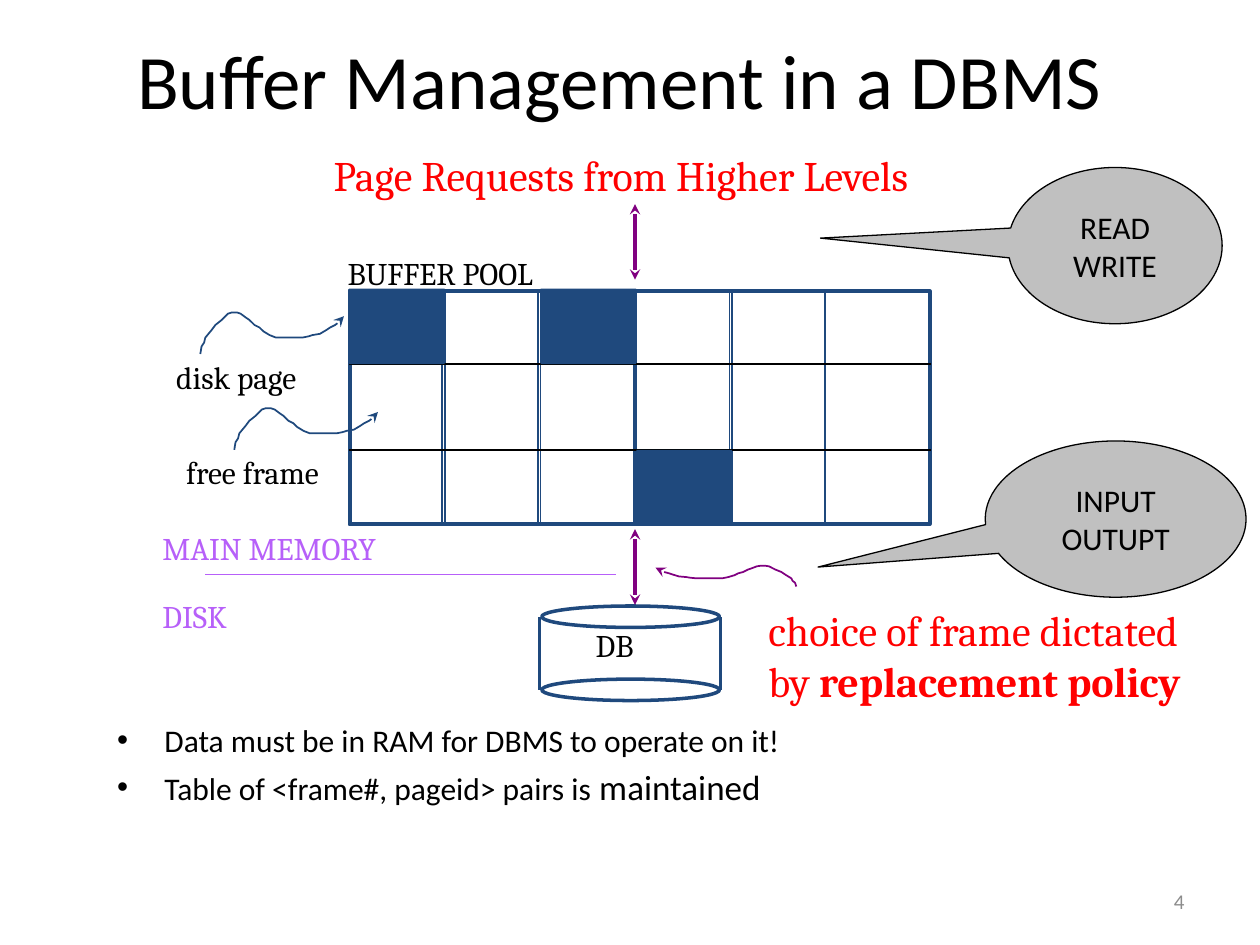
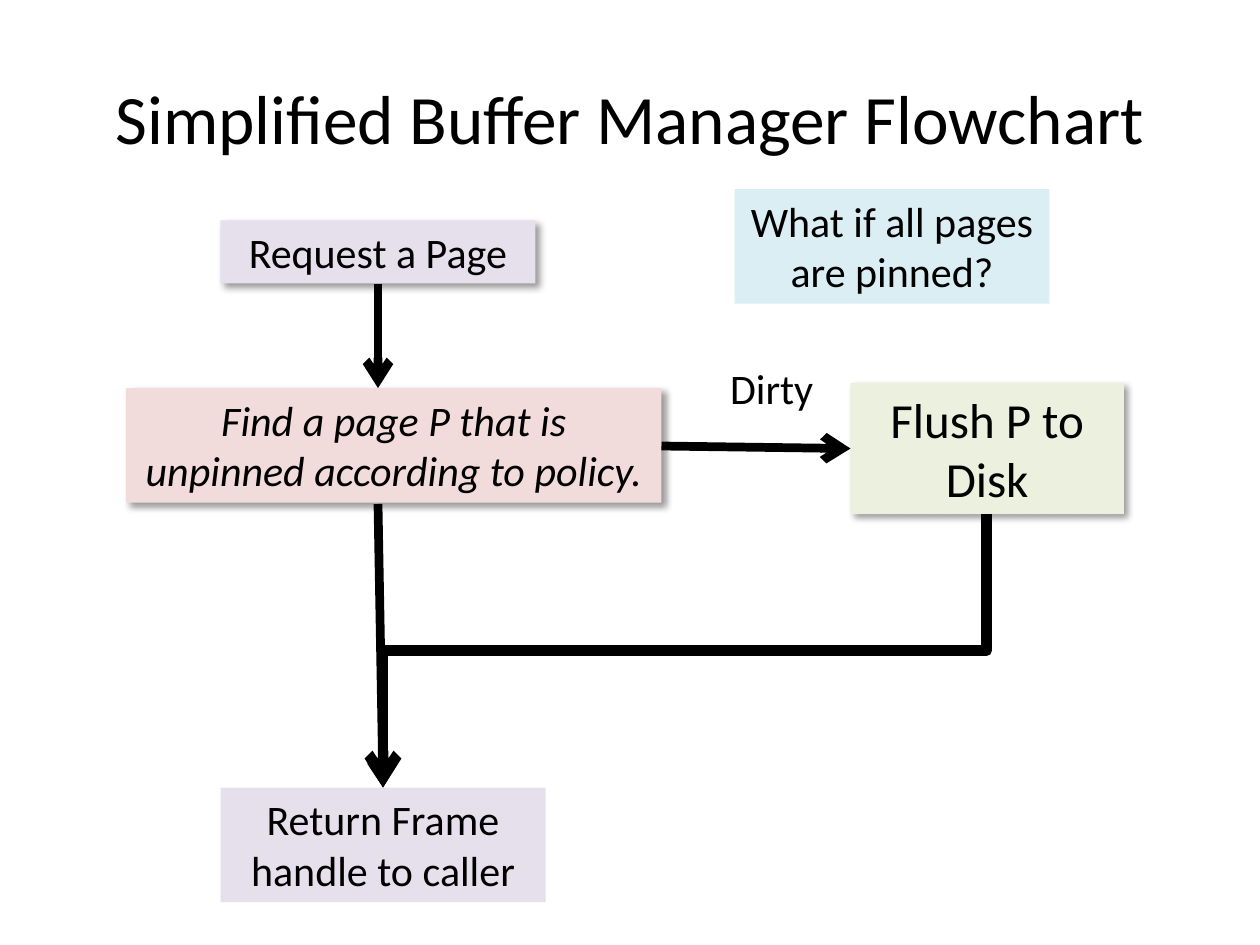
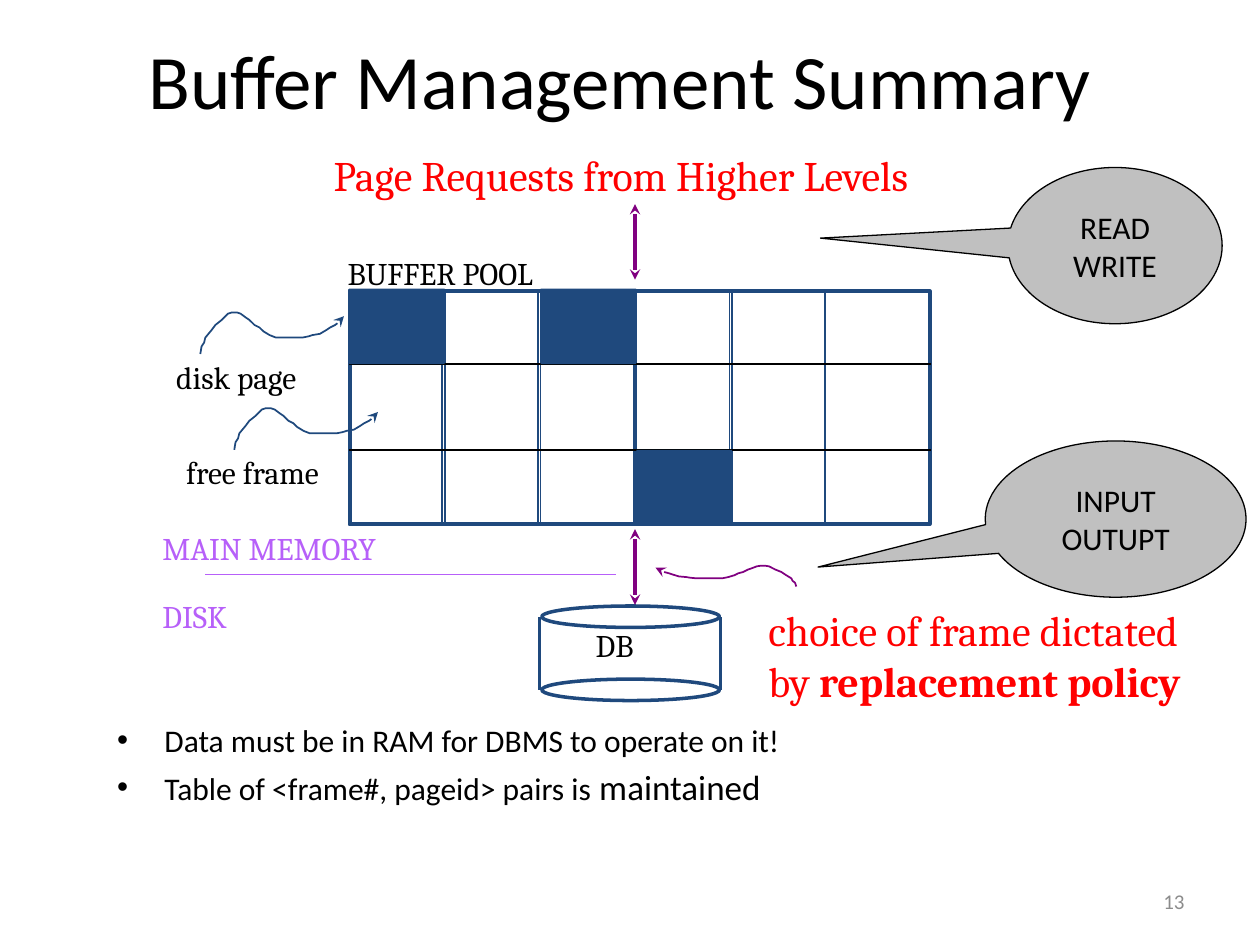
from lxml.etree import SubElement
from pptx import Presentation
from pptx.dml.color import RGBColor
from pptx.enum.shapes import MSO_CONNECTOR, MSO_SHAPE
from pptx.enum.text import MSO_ANCHOR, MSO_AUTO_SIZE, PP_ALIGN
from pptx.oxml.ns import qn
from pptx.util import Inches, Pt

BLACK, NAVY, PURPLE, VIOLET = "000000", "1F497D", "800080", "B760F9"
RED, SILVER, GRAY = "FF0000", "C0C0C0", "8C8C8C"
LILAC, ROSE, LIME, AQUA = "E6E0EC", "F2DCDB", "EBF1DE", "DBEEF4"
SANS, SERIF = "Calibri", "Cambria"
TITLE_AND_CONTENT, TITLE_ONLY = 1, 5

# Buffer pool slides: (title, slide number)
POOL_SLIDES = [("Buffer Management in a DBMS", "4"), ("Buffer Management Summary", "13")]
TITLE_BOX = (0.67, 0, 8.5, 1.25)
NUMBER_BOX = (7.17, 6.95, 2.33, 0.4)
BODY_BOX = (0.83, 5.67, 8.42, 1.08)
BULLETS = [
    ["Data must be in RAM for DBMS to operate on it!"],
    ["Table of <frame#, pageid> pairs is", (" maintained", {"size": Pt(20)})],
]

POOL_LEFT, POOL_TOP, POOL_RIGHT = 2.77, 2.3, 7.39
FRAME_PITCH, FRAME_WIDTH, POOL_HEIGHT = 0.76, 0.74, 1.87
ROW_LINES = [2.89, 3.57]
USED_FRAMES = [(0, 2.29), (2, 2.29), (3, 3.57)]  # column, top

DISK_LEFT, DISK_RIGHT = 4.28, 5.72
DISK_RIMS = [4.81, 5.39]
RIM_HEIGHT = 0.17

LABELS = [  # box, paragraphs, size, colour
    ((1.19, 4.15, 2.14, 0.4), [["MAIN MEMORY"]], 18, VIOLET),
    ((1.19, 4.69, 0.79, 0.4), [["DISK"]], 18, VIOLET),
    ((1.3, 2.79, 1.27, 0.4), [["disk page"]], 18, BLACK),
    ((1.38, 3.55, 1.33, 0.4), [["free frame"]], 18, BLACK),
    ((2.55, 1.14, 5.34, 0.51), [["Page Requests from Higher Levels"]], 24, RED),
    ((2.66, 1.97, 1.91, 0.4), [["BUFFER POOL"]], 18, BLACK),
    ((6, 4.75, 3.77, 0.91),
     [["choice of frame dictated"], ["by ", ("replacement policy", {"bold": True})]], 24, RED),
]
CALLOUTS = [  # box, pointer tip, lines
    ((8, 1.33, 1.7, 1.24), (-1.375, -0.048), [["READ"], ["WRITE"]]),
    ((7.82, 3.5, 2.07, 1.24), (-1.141, 0.307), [["INPUT"], ["OUTUPT"]]),
]
EXCHANGE_X = 5.04
EXCHANGE_ARROWS = [(1.62, 2.22), (4.2, 4.8)]

WAVE = [
    (0, 0.33), (0.01, 0.27), (0.03, 0.24), (0.04, 0.2), (0.09, 0.14), (0.12, 0.1),
    (0.17, 0.06), (0.22, 0.01), (0.25, 0), (0.29, 0), (0.32, 0.01), (0.36, 0.04),
    (0.39, 0.06), (0.43, 0.1), (0.47, 0.12), (0.5, 0.15), (0.55, 0.18), (0.6, 0.2),
    (0.63, 0.2), (0.68, 0.2), (0.72, 0.2), (0.76, 0.2), (0.81, 0.2), (0.86, 0.19),
    (0.89, 0.18), (0.95, 0.17), (1, 0.14), (1.03, 0.12), (1.07, 0.1), (1.11, 0.07),
    (1.14, 0.03),
]
WAVY_ARROWS = [  # start x, top, x scale, y scale, colour
    (1.59, 2.48, 1, 1, NAVY),
    (1.86, 3.24, 1, 1, NAVY),
    (6.32, 4.49, -0.98, 0.5, PURPLE),
]

FLOW_TITLE = "Simplified Buffer Manager Flowchart"
FLOW_TITLE_BOX = (0.5, 0.3, 9, 1.25)
FLOW_BOXES = [  # box, text, fill, size, italic, shadow
    ((1.75, 1.75, 2.5, 0.5), "Request a Page", LILAC, 24, False, True),
    ((1, 3.08, 4.25, 0.91), "Find a page P that is unpinned according to policy.",
     ROSE, 24, True, True),
    ((1.75, 6.25, 2.58, 0.91), "Return Frame handle to caller", LILAC, 24, False, False),
    ((6.75, 3.04, 2.17, 1.04), "Flush P to Disk", LIME, 28, False, True),
    ((5.83, 1.5, 2.5, 0.91), "What if all pages are pinned?", AQUA, 24, False, False),
]
FLOW_ARROWS = [(5.25, 3.54, 6.75, 3.56), (3, 4, 3.04, 6.25), (3, 2.25, 3, 3.08)]
RETURN_PATH = (4.35, 2.77, 6.52, 7.56)  # before its quarter turn
DIRTY_BOX = (5.5, 2.83, 1.25, 0.5)


def color(hex_value):
    return RGBColor.from_string(hex_value)


def inches(values):
    return [Inches(value) for value in values]


def write(shape, paragraphs, size, hex_color=BLACK, font=SANS, align=None,
          anchor=MSO_ANCHOR.TOP, wrap=True, grow=True, **extra):
    """Fill a shape with paragraphs whose runs are strings or (string, format) pairs."""
    frame = shape.text_frame
    frame.word_wrap = wrap
    frame.auto_size = MSO_AUTO_SIZE.SHAPE_TO_FIT_TEXT if grow else MSO_AUTO_SIZE.NONE
    frame.vertical_anchor = anchor
    for index, runs in enumerate(paragraphs):
        paragraph = frame.add_paragraph() if index else frame.paragraphs[0]
        paragraph.alignment = align
        for item in runs:
            text, changes = (item, {}) if isinstance(item, str) else item
            run = paragraph.add_run()
            run.text = text
            run.font.color.rgb = color(hex_color)
            for name, value in {"name": font, "size": Pt(size), **extra, **changes}.items():
                setattr(run.font, name, value)


def place(shape, box):
    for name, value in zip(("left", "top", "width", "height"), inches(box)):
        setattr(shape, name, value)


def style(shape, fill=None, line=None, width=1):
    shape.shadow.inherit = False
    if fill:
        shape.fill.solid()
        shape.fill.fore_color.rgb = color(fill)
    else:
        shape.fill.background()
    if line:
        shape.line.color.rgb = color(line)
        shape.line.width = Pt(width)
    else:
        shape.line.fill.background()


def add_preset(shapes, kind, box, **look):
    shape = shapes.add_shape(kind, *inches(box))
    style(shape, **look)
    return shape


def add_arrowheads(shape, **ends):
    line = shape._element.spPr.find(qn("a:ln"))
    for end, kind in ends.items():
        SubElement(line, qn(f"a:{end}"), type=kind)


def add_line(shapes, points, hex_color, width, kind=MSO_CONNECTOR.STRAIGHT, **ends):
    connector = shapes.add_connector(kind, *inches(points))
    connector.line.color.rgb = color(hex_color)
    connector.line.width = Pt(width)
    add_arrowheads(connector, **ends)
    SubElement(connector._element.spPr, qn("a:effectLst"))
    return connector


def add_soft_shadow(shape):
    effects = shape._element.spPr.find(qn("a:effectLst"))
    shadow = SubElement(effects, qn("a:outerShdw"), blurRad=str(Pt(4)), dist=str(Pt(3)),
                        dir="2700000", algn="tl", rotWithShape="0")
    shade = SubElement(shadow, qn("a:srgbClr"), val=BLACK)
    SubElement(shade, qn("a:alpha"), val="40000")


def add_text(shapes, box, paragraphs, size, **look):
    write(shapes.add_textbox(*inches(box)), paragraphs, size, **look)


def add_slide(presentation, layout, title, box, size):
    slide = presentation.slides.add_slide(presentation.slide_layouts[layout])
    place(slide.shapes.title, box)
    write(slide.shapes.title, [[title]], size, align=PP_ALIGN.CENTER,
          anchor=MSO_ANCHOR.MIDDLE, grow=False)
    return slide


def draw_pool(shapes):
    add_preset(shapes, MSO_SHAPE.RECTANGLE, (2.78, 2.31, 4.6, 1.85), line=NAVY, width=2)
    for column in range(5):
        left = POOL_LEFT + column * FRAME_PITCH
        add_preset(shapes, MSO_SHAPE.RECTANGLE,
                   (left, POOL_TOP, FRAME_WIDTH, POOL_HEIGHT), line=NAVY)
    for y in ROW_LINES:
        add_line(shapes, (POOL_LEFT, y, POOL_RIGHT, y), BLACK, 1)
    for column, top in USED_FRAMES:
        left = POOL_LEFT + column * FRAME_PITCH
        add_preset(shapes, MSO_SHAPE.RECTANGLE, (left, top, FRAME_PITCH, 0.6), fill=NAVY)


def draw_disk(shapes):
    for top in DISK_RIMS:
        add_preset(shapes, MSO_SHAPE.OVAL, (4.3, top, 1.41, RIM_HEIGHT), line=NAVY, width=2)
    top, bottom = (rim + RIM_HEIGHT / 2 for rim in DISK_RIMS)
    for x in (DISK_LEFT, DISK_RIGHT):
        add_line(shapes, (x, top, x, bottom), NAVY, 2)
    add_text(shapes, (4.63, 4.92, 0.7, 0.5), [["DB"]], 18, font=SERIF)


def draw_wavy_arrow(shapes, start_x, top, x_scale, y_scale, hex_color):
    points = [inches((start_x + x * x_scale, top + y * y_scale)) for x, y in WAVE]
    builder = shapes.build_freeform(*points[0])
    builder.add_line_segments(points[1:], close=False)
    arrow = builder.convert_to_shape()
    style(arrow, line=hex_color)
    add_arrowheads(arrow, tailEnd="stealth")


def build_pool_slide(presentation, title, number):
    slide = add_slide(presentation, TITLE_AND_CONTENT, title, TITLE_BOX, 44)
    shapes = slide.shapes
    add_text(shapes, NUMBER_BOX, [[number]], 12, hex_color=GRAY, align=PP_ALIGN.RIGHT,
             anchor=MSO_ANCHOR.MIDDLE, grow=False)
    body = slide.placeholders[1]
    place(body, BODY_BOX)
    write(body, BULLETS, 18, grow=False)
    draw_pool(shapes.add_group_shape().shapes)
    draw_disk(shapes.add_group_shape().shapes)
    add_line(shapes, (1.63, 4.56, 4.89, 4.56), VIOLET, 1)
    for wavy_arrow in WAVY_ARROWS:
        draw_wavy_arrow(shapes, *wavy_arrow)
    for box, paragraphs, size, hex_color in LABELS:
        add_text(shapes, box, paragraphs, size, hex_color=hex_color, font=SERIF, wrap=False)
    for top, bottom in EXCHANGE_ARROWS:
        add_line(shapes, (EXCHANGE_X, top, EXCHANGE_X, bottom), PURPLE, 2,
                 headEnd="stealth", tailEnd="stealth")
    for box, tip, lines in CALLOUTS:
        callout = add_preset(shapes, MSO_SHAPE.OVAL_CALLOUT, box,
                             fill=SILVER, line=BLACK, width=0.75)
        callout.adjustments[0], callout.adjustments[1] = tip
        write(callout, lines, 18, align=PP_ALIGN.CENTER, anchor=MSO_ANCHOR.MIDDLE, wrap=False)


def build_flowchart_slide(presentation):
    shapes = add_slide(presentation, TITLE_ONLY, FLOW_TITLE, FLOW_TITLE_BOX, 39.6).shapes
    for box, text, fill, size, italic, shadow in FLOW_BOXES:
        step = add_preset(shapes, MSO_SHAPE.RECTANGLE, box, fill=fill)
        write(step, [[text]], size, align=PP_ALIGN.CENTER, italic=italic)
        if shadow:
            add_soft_shadow(step)
    for points in FLOW_ARROWS:
        add_line(shapes, points, BLACK, 5, tailEnd="arrow")
    return_arrow = add_line(shapes, RETURN_PATH, BLACK, 6, MSO_CONNECTOR.ELBOW, tailEnd="arrow")
    return_arrow._element.spPr.find(qn("a:xfrm")).set("rot", "5400000")
    add_text(shapes, DIRTY_BOX, [["Dirty"]], 24, align=PP_ALIGN.CENTER)


def main():
    presentation = Presentation()
    presentation.slide_width, presentation.slide_height = inches((10, 7.5))
    overview, summary = POOL_SLIDES
    build_pool_slide(presentation, *overview)
    build_flowchart_slide(presentation)
    build_pool_slide(presentation, *summary)
    presentation.save("out.pptx")


if __name__ == "__main__":
    main()
